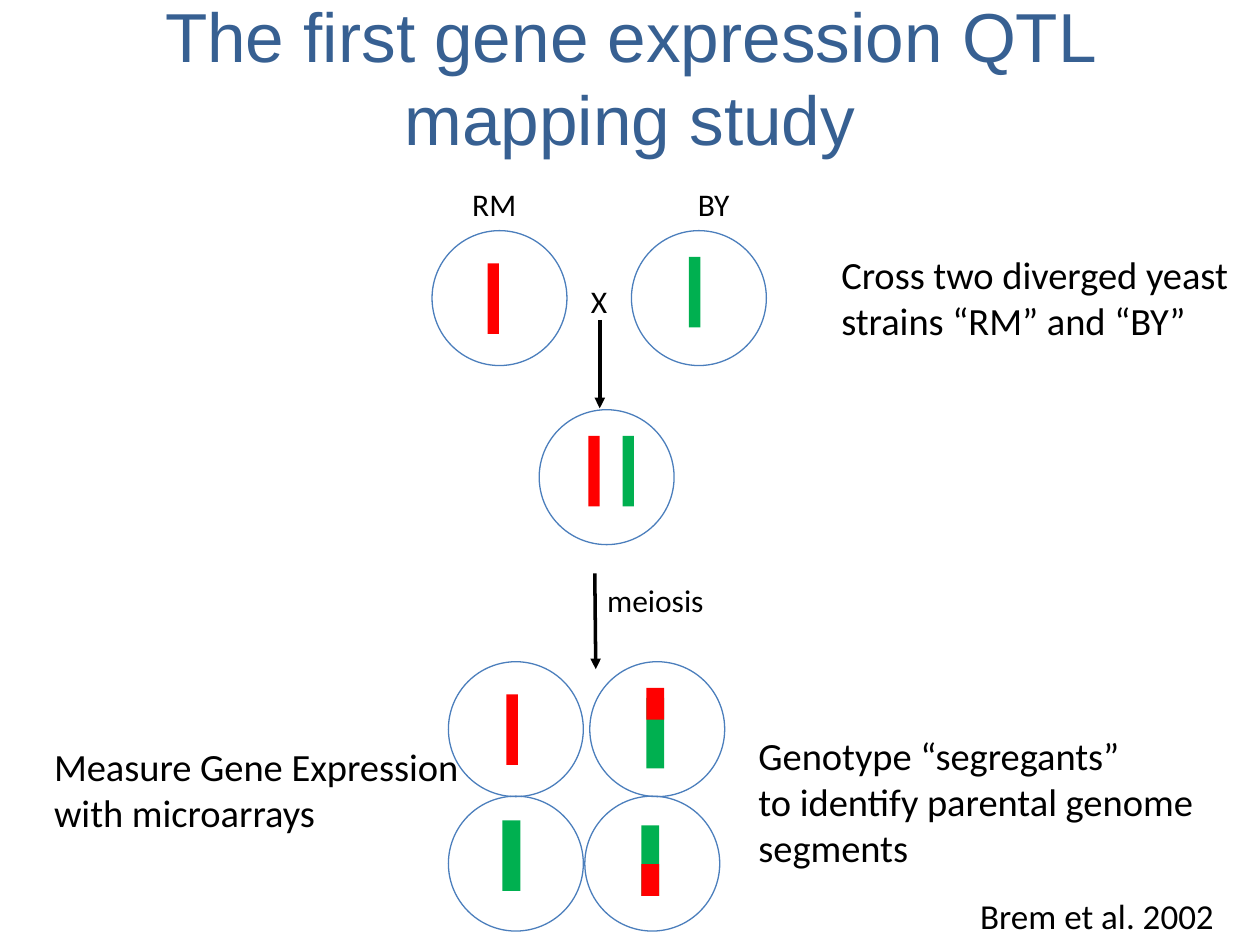
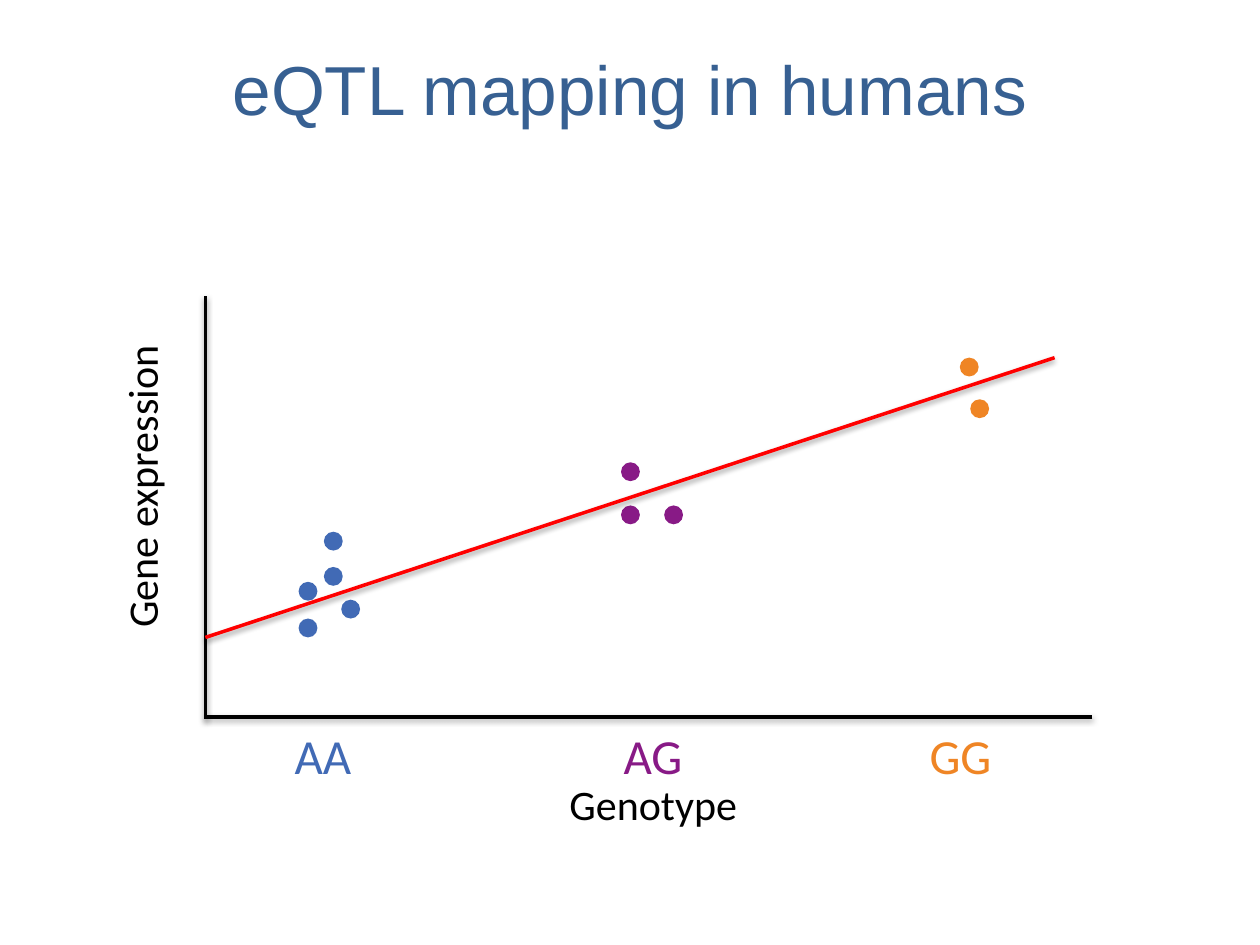
from dataclasses import dataclass

from lxml import etree
from pptx import Presentation
from pptx.dml.color import RGBColor
from pptx.enum.shapes import MSO_CONNECTOR as Connector, MSO_SHAPE as Shape
from pptx.enum.text import MSO_ANCHOR as Anchor, MSO_AUTO_SIZE as AutoSize, PP_ALIGN as Align
from pptx.oxml.ns import qn
from pptx.util import Cm, Pt

COLORS = {
    "title": "376092", "text": "000000", "cell": "4B7EBC",
    "rm": "FF0000", "by": "00B050", "trend": "FF0000",
    "AA": "416AB5", "AG": "881A86", "GG": "EF8525",
}
CELL_SIZE = 2.72
BAR_HEIGHT = 1.42
THIN, WIDE = 0.23, 0.36
DOT_SIZE = 0.38


@dataclass(frozen=True)
class Bar:
    """A chromosome, or a segment of one, from one parental strain."""
    strain: str
    left: float
    top: float
    width: float = THIN
    height: float = BAR_HEIGHT


@dataclass(frozen=True)
class Label:
    text: str
    left: float
    top: float
    width: float
    height: float
    size: float = 18
    color: str = "text"
    rotation: float = 0


@dataclass(frozen=True)
class Genotype:
    name: str
    label_left: float
    label_width: float
    dots: tuple[tuple[float, float], ...]


# Slide 1: yeast cross
CELLS = [
    (8.71, 4.65), (12.73, 4.65),    # parents
    (10.87, 8.26),                  # hybrid
    (9.04, 13.34), (11.89, 13.34),  # segregants
    (9.04, 16.05), (11.79, 16.05),
]
BARS = [
    Bar("rm", 9.83, 5.31), Bar("by", 13.89, 5.18),
    Bar("rm", 11.86, 8.79), Bar("by", 12.55, 8.79),
    Bar("rm", 10.21, 14.0), Bar("by", 10.13, 16.54, WIDE),
    Bar("by", 13.03, 14.07, WIDE), Bar("rm", 13.03, 13.87, WIDE, 0.64),
    Bar("by", 12.93, 16.64, WIDE), Bar("rm", 12.93, 17.42, WIDE, 0.64),
]
CROSS_LABELS = [
    Label("RM", 9.27, 3.61, 1.4, 1.02),
    Label("BY", 13.82, 3.61, 1.14, 1.02),
    Label("X", 11.66, 5.56, 0.84, 1.02),
    Label("meiosis", 11.99, 11.58, 2.49, 1.02),
    Label("Cross two diverged yeast\nstrains “RM” and “BY”", 16.71, 4.93, 8.41, 2.13, 22),
    Label("Genotype “segregants”\nto identify parental genome\nsegments",
          15.04, 14.63, 9.37, 3.07, 22),
    Label("Measure Gene Expression\nwith microarrays", 0.84, 14.86, 8.76, 2.13, 22),
]

# Slide 2: expression by genotype
GENOTYPES = [
    Genotype("AA", 5.69, 1.68, ((6.53, 11.43), (6.02, 12.47), (6.53, 10.72),
                                (6.88, 12.09), (6.02, 11.73))),
    Genotype("AG", 12.32, 1.73, ((12.52, 9.32), (13.39, 10.19), (12.52, 10.19))),
    Genotype("GG", 18.49, 1.78, ((19.35, 7.21), (19.56, 8.05))),
]
AXIS_LABELS = [
    Label("Gene expression", -0.28, 9.14, 6.25, 1.27, 24, rotation=270),
    Label("Genotype", 11.23, 15.57, 3.94, 1.27, 24),
]


def rgb(name: str) -> RGBColor:
    return RGBColor.from_string(COLORS[name])


def add_text(page, text: str, left: float, top: float, width: float, height: float, *,
             size: float = 18, color: str = "text", font: str = "Calibri",
             align=Align.LEFT, anchor=Anchor.TOP, wrap: bool = False,
             inset: bool = True, rotation: float = 0):
    box = page.shapes.add_textbox(Cm(left), Cm(top), Cm(width), Cm(height))
    box.rotation = rotation
    frame = box.text_frame
    frame.word_wrap = wrap
    frame.auto_size = AutoSize.NONE if wrap else AutoSize.SHAPE_TO_FIT_TEXT
    frame.vertical_anchor = anchor
    if not inset:
        frame.margin_left = frame.margin_right = frame.margin_top = frame.margin_bottom = 0
    for index, line in enumerate(text.split("\n")):
        para = frame.add_paragraph() if index else frame.paragraphs[0]
        para.alignment = align
        span = para.add_run()
        span.text = line
        span.font.name = font
        span.font.size = Pt(size)
        span.font.color.rgb = rgb(color)
    return box


def add_label(page, label: Label) -> None:
    add_text(page, label.text, label.left, label.top, label.width, label.height,
             size=label.size, color=label.color, rotation=label.rotation)


def add_title(page, text: str, top: float) -> None:
    add_text(page, text, 1.27, top, 22.86, 2.03, size=39.6, color="title",
             font="Arial", align=Align.CENTER, anchor=Anchor.MIDDLE, wrap=True)


def add_figure(page, kind, left: float, top: float, width: float, height: float, *,
               fill: str = "", line: str = "") -> None:
    shape = page.shapes.add_shape(kind, Cm(left), Cm(top), Cm(width), Cm(height))
    shape.shadow.inherit = False
    if fill:
        shape.fill.solid()
        shape.fill.fore_color.rgb = rgb(fill)
    else:
        shape.fill.background()
    if line:
        shape.line.color.rgb = rgb(line)
        shape.line.width = Pt(0.75)
    else:
        shape.line.fill.background()


def add_line(page, start: tuple[float, float], end: tuple[float, float], *,
             color: str = "text", arrow: bool = False, shadow: bool = False) -> None:
    line = page.shapes.add_connector(Connector.STRAIGHT, Cm(start[0]), Cm(start[1]),
                                     Cm(end[0]), Cm(end[1]))
    line.line.color.rgb = rgb(color)
    line.line.width = Pt(2)
    if arrow:
        etree.SubElement(line.line._get_or_add_ln(), qn("a:tailEnd"), type="triangle")
    effects = etree.SubElement(line._element.spPr, qn("a:effectLst"))
    if shadow:
        outer = etree.SubElement(effects, qn("a:outerShdw"), blurRad="40000",
                                 dist="20000", dir="5400000", rotWithShape="0")
        tint = etree.SubElement(outer, qn("a:srgbClr"), val=COLORS["text"])
        etree.SubElement(tint, qn("a:alpha"), val="38000")


def build_yeast_cross(page) -> None:
    add_title(page, "The first gene expression QTL mapping study", 0.53)
    for left, top in CELLS:
        add_figure(page, Shape.OVAL, left, top, CELL_SIZE, CELL_SIZE, line="cell")
    for bar in BARS:
        add_figure(page, Shape.RECTANGLE, bar.left, bar.top, bar.width, bar.height,
                   fill=bar.strain)
    add_line(page, (12.09, 6.45), (12.09, 8.23), arrow=True)
    add_line(page, (11.99, 11.56), (12.01, 13.49), arrow=True)
    for label in CROSS_LABELS:
        add_label(page, label)
    add_text(page, "Brem et al. 2002", 19.76, 18.03, 5.5, 0.84, size=20,
             anchor=Anchor.MIDDLE, wrap=True, inset=False)


def build_human_mapping(page) -> None:
    add_title(page, "eQTL mapping in humans", 0.76)
    for genotype in GENOTYPES:
        for left, top in genotype.dots:
            add_figure(page, Shape.OVAL, left, top, DOT_SIZE, DOT_SIZE, fill=genotype.name)
        add_label(page, Label(genotype.name, genotype.label_left, 14.5,
                              genotype.label_width, 1.45, 28, genotype.name))
    # Axes and trend
    add_line(page, (4.14, 5.97), (4.14, 14.5), shadow=True)
    add_line(page, (22.02, 14.45), (4.14, 14.45), shadow=True)
    for label in AXIS_LABELS:
        add_label(page, label)
    add_line(page, (4.14, 12.85), (21.26, 7.21), color="trend", shadow=True)


def main() -> None:
    deck = Presentation()
    deck.slide_width, deck.slide_height = Cm(25.4), Cm(19.05)
    for build in (build_yeast_cross, build_human_mapping):
        build(deck.slides.add_slide(deck.slide_layouts[6]))
    deck.save("out.pptx")


if __name__ == "__main__":
    main()
